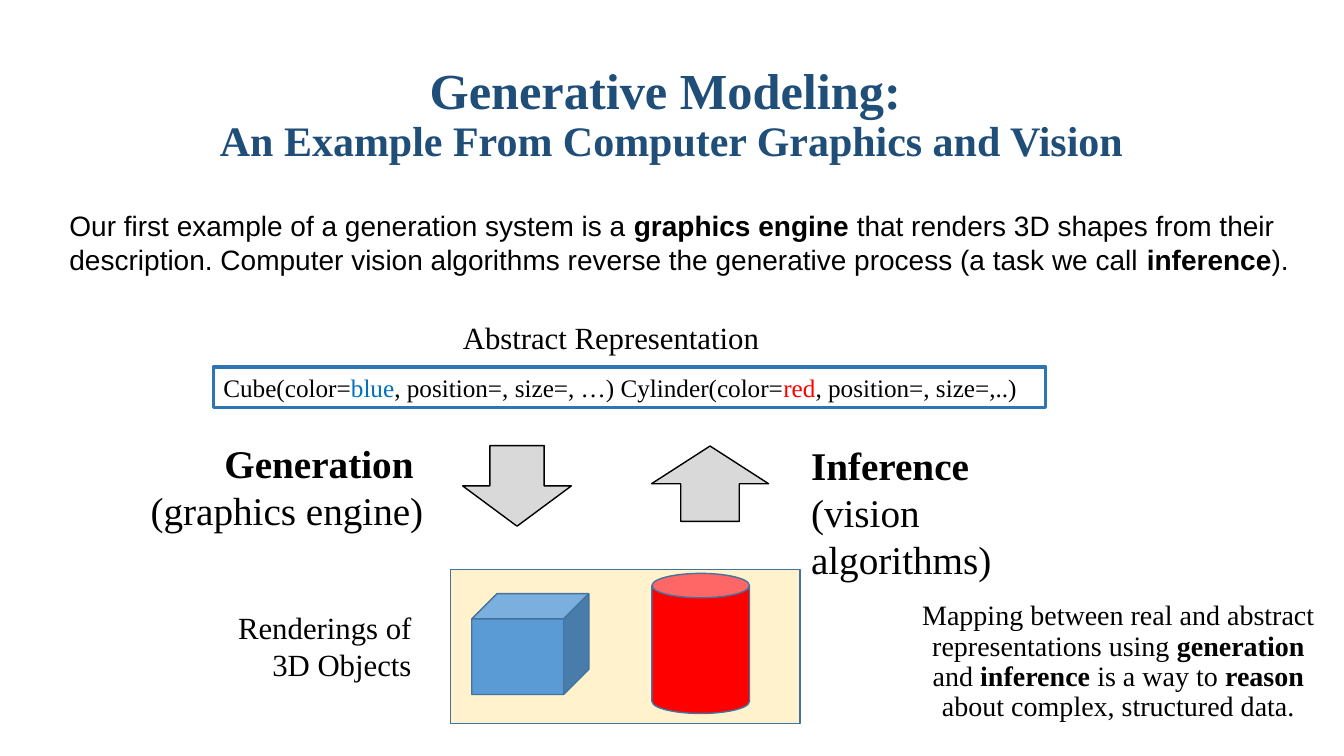
"""Build a slide on generative modeling in computer graphics and vision."""
from pptx import Presentation
from pptx import util as u
from pptx.dml.color import RGBColor
from pptx.enum import shapes, text

COLORS = {
    "black": "000000", "title": "1F4E79", "frame": "2E75B6", "outline": "43739E",
    "blue": "0070C0", "red": "FF0000", "arrow": "D9D9D9", "panel": "FFF2CC",
    "cube": "5B9BD5",
}
ALIGN = text.PP_ALIGN
SHAPE = shapes.MSO_SHAPE


def write(frame, paragraphs, size=20, font="Times New Roman", color="black",
          bold=False, align=ALIGN.LEFT, spacing=1.0, anchor=text.MSO_ANCHOR.TOP):
    """Fill a frame with paragraphs, each a list of (text, overrides) runs."""
    frame.word_wrap = True
    frame.auto_size = text.MSO_AUTO_SIZE.NONE
    frame.vertical_anchor = anchor
    for i, runs in enumerate(paragraphs):
        paragraph = frame.add_paragraph() if i else frame.paragraphs[0]
        paragraph.alignment = align
        paragraph.line_spacing = spacing
        for words, own in runs:
            run = paragraph.add_run()
            run.text = words.rstrip("\n")
            run.font.name = font
            run.font.size = u.Pt(own.get("size", size))
            run.font.bold = own.get("bold", bold)
            run.font.color.rgb = RGBColor.from_string(COLORS[own.get("color", color)])
            if words.endswith("\n"):
                paragraph.add_line_break()


def draw(kind, box, fill, line, width=1):
    """Add a preset shape without shadow; box is in centimetres."""
    shape = slide.shapes.add_shape(kind, *map(u.Cm, box))
    shape.shadow.inherit = False
    if fill:
        shape.fill.solid()
        shape.fill.fore_color.rgb = RGBColor.from_string(COLORS[fill])
    else:
        shape.fill.background()
    shape.line.color.rgb = RGBColor.from_string(COLORS[line])
    shape.line.width = u.Pt(width)
    return shape


deck = Presentation()
deck.slide_width, deck.slide_height = u.Cm(33.87), u.Cm(19.05)
slide = deck.slides.add_slide(deck.slide_layouts[5])

title = slide.shapes.title
title.left, title.top, title.width, title.height = map(u.Cm, (0.46, 1.07, 32.94, 3.68))
write(title.text_frame,
      [[("Generative Modeling: \n", {"size": 36}),
        ("An Example From Computer Graphics and Vision", {})]],
      size=30, color="title", bold=True, align=ALIGN.CENTER, spacing=0.9,
      anchor=text.MSO_ANCHOR.MIDDLE)

description = draw(SHAPE.RECTANGLE, (5.38, 9.25, 20.98, 1.02), None, "frame", 2.25)
write(description.text_frame,
      [[("Cube(color=", {}), ("blue", {"color": "blue"}),
        (", position=, size=, …) Cylinder(color=", {}), ("red", {"color": "red"}),
        (", position=, size=,..)", {})]], size=18)

for kind, box, fill, line in [
    (SHAPE.DOWN_ARROW, (11.66, 11.23, 2.74, 2.03), "arrow", "black"),
    (SHAPE.UP_ARROW, (16.42, 11.24, 2.95, 1.9), "arrow", "black"),
    (SHAPE.RECTANGLE, (11.35, 14.35, 8.81, 3.89), "panel", "outline"),
    (SHAPE.CUBE, (11.89, 14.96, 2.95, 2.54), "cube", "outline"),
    (SHAPE.CAN, (16.43, 14.45, 2.46, 3.53), "red", "outline"),
]:
    draw(kind, box, fill, line)

strong = {"bold": True}
for box, paragraphs, style in [
    ((1.5, 5.13, 31.6, 1.96),
     [[("Our first example of a generation system is a ", {}),
       ("graphics engine ", strong),
       ("that renders 3D shapes from their description. Computer vision algorithms "
        "reverse the generative process (a task we call ", {}),
       ("inference", strong), (").", {})]],
     {"font": "Arial"}),
    ((9.63, 7.9, 9.75, 1.19), [[("Abstract Representation", {})]],
     {"size": 22, "align": ALIGN.RIGHT}),
    ((3.48, 10.95, 7.44, 2.64),
     [[("Generation ", strong)], [("(graphics engine)", {})]],
     {"size": 28, "align": ALIGN.RIGHT}),
    ((20.19, 11, 7.8, 2.64),
     [[("Inference", strong)], [("(vision algorithms)", {})]], {"size": 28}),
    ((3.81, 15.21, 6.81, 2.13), [[("Renderings of", {})], [("3D Objects", {})]],
     {"size": 22, "align": ALIGN.RIGHT}),
    ((22.76, 15.04, 10.85, 1.4),
     [[("Mapping between real and abstract representations using ", {}),
       ("generation", strong), (" and ", {}), ("inference", strong),
       (" is a way to ", {}), ("reason", strong),
       (" about complex, structured data.", {})]],
     {"align": ALIGN.CENTER, "spacing": 0.9}),
]:
    label = slide.shapes.add_textbox(*map(u.Cm, box))
    write(label.text_frame, paragraphs, **style)

deck.save("out.pptx")
